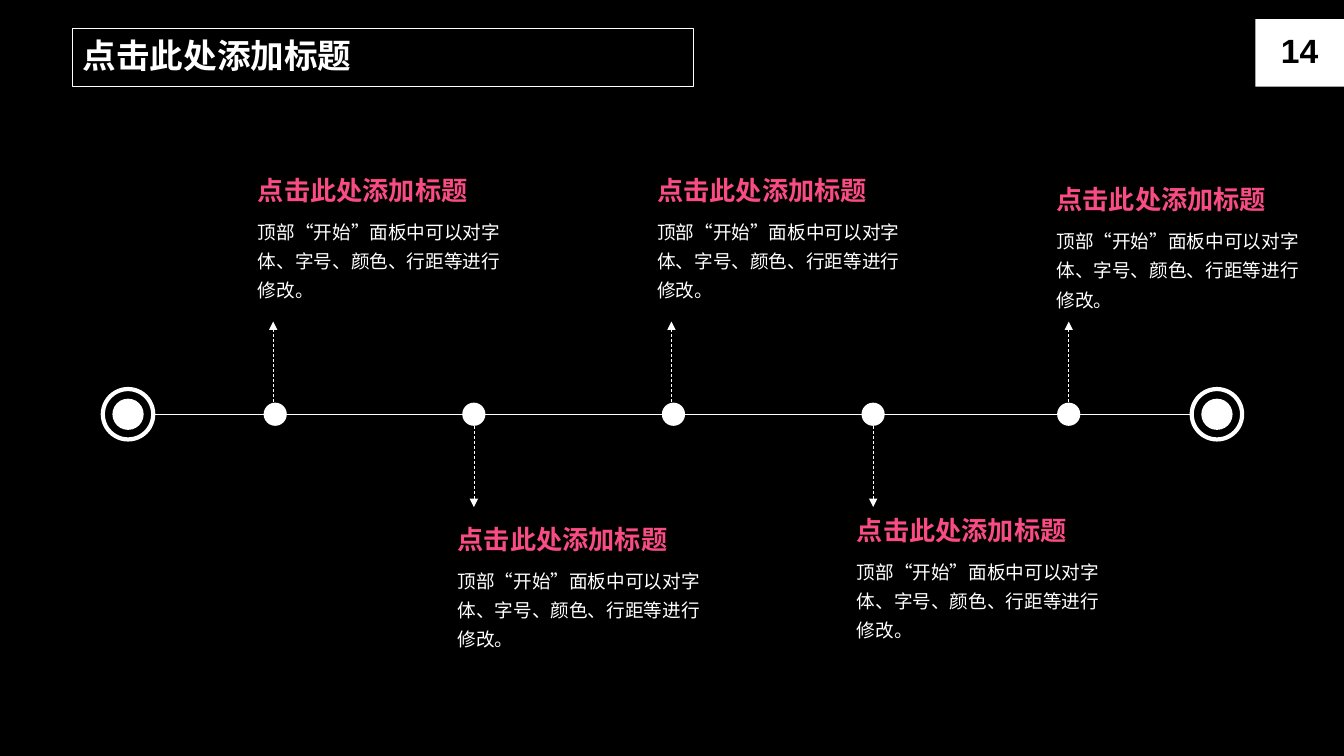
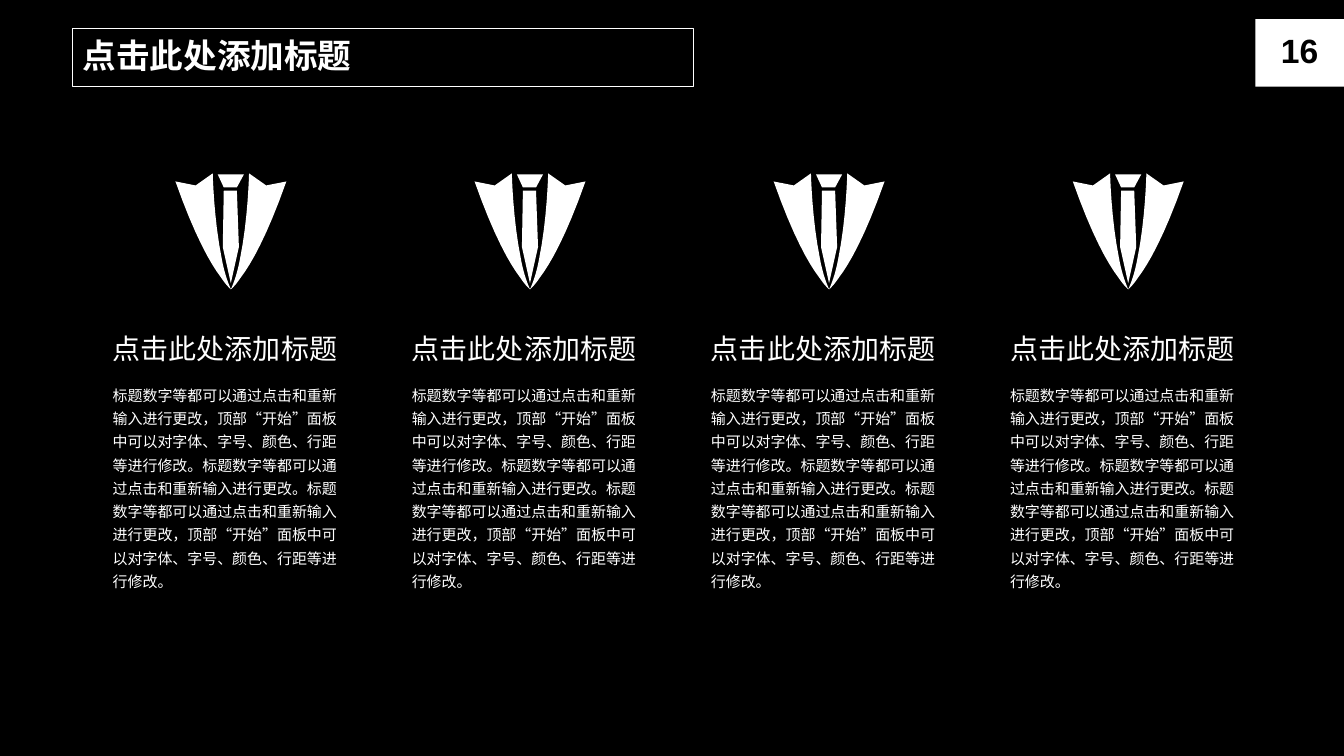
from lxml import etree
from pptx import Presentation
from pptx.dml.color import RGBColor
from pptx.enum import dml, lang, shapes, text
from pptx.oxml import ns
from pptx.util import Inches, Pt

WHITE, BLACK, PINK = "FFFFFF", "000000", "F94C84"
FONT = "Arial"
HEADING = "点击此处添加标题"
MILESTONE_BODY = "顶部“开始”面板中可以对字体、字号、颜色、行距等进行修改。"
FIRST_SENTENCE = "标题数字等都可以通过点击和重新输入进行更改"
LONG_SENTENCE = FIRST_SENTENCE + "，" + MILESTONE_BODY
COLUMN_BODY = LONG_SENTENCE + FIRST_SENTENCE + "。" + LONG_SENTENCE

AXIS_Y = 4.11
AXIS_ENDS = (1.27, 12.07)
MILESTONES = [
    (2.73, 2.71, 1.68),
    (4.70, 4.70, 5.14),
    (6.68, 6.66, 1.68),
    (8.66, 8.66, 5.05),
    (10.60, 10.60, 1.77),
]
MILESTONE_LEFT, MILESTONE_PITCH = 2.46, 1.98

COLUMN_COUNT, COLUMN_WIDTH = 4, 2.54
FIRST_COLUMN, LAST_COLUMN = 1.02, 9.92

KNOT = [(-0.13, 0.01), (0.13, 0.01), (0.06, 0.14), (-0.07, 0.14)]
TIE = [(-0.08, 0.73), (0, 1.09), (0.08, 0.73), (0.06, 0.17), (-0.07, 0.17)]
LAPEL_CORNERS = [(-0.18, 0), (-0.35, 0.12), (-0.55, 0.08)]
LAPEL_CURVES = [
    [(-0.36, 0.62), (-0.2, 0.9), (-0.1, 1.03)],
    [(-0.04, 1.12), (0, 1.15), (0, 1.15)],
    [(-0.04, 1.06), (-0.07, 0.96), (-0.09, 0.85)],
    [(-0.17, 0.46), (-0.18, 0), (-0.18, 0)],
]


def color(value):
    """Turn a hex string into a colour."""
    return RGBColor.from_string(value)


def paint(shape, fill=None, line=None, width=1):
    """Set the fill and outline of a shape and drop its shadow."""
    shape.shadow.inherit = False
    if fill:
        shape.fill.solid()
        shape.fill.fore_color.rgb = color(fill)
    else:
        shape.fill.background()
    if line:
        shape.line.color.rgb = color(line)
        shape.line.width = Pt(width)
    else:
        shape.line.fill.background()


def write(shape, words, size, ink=WHITE, bold=False, spacing=1.0, before=0,
          align=text.PP_ALIGN.LEFT):
    """Fill a shape with one formatted paragraph."""
    shape.text_frame.text = words
    paragraph = shape.text_frame.paragraphs[0]
    paragraph.alignment = align
    paragraph.line_spacing = spacing
    paragraph.space_before = Pt(before)
    font = paragraph.font
    font.name, font.size, font.bold = FONT, Pt(size), bold
    font.color.rgb = color(ink)
    font.language_id = lang.MSO_LANGUAGE_ID.SIMPLIFIED_CHINESE


def add_text(container, box, words, size, wrap=True, **style):
    """Add a text box that grows with its text."""
    shape = container.shapes.add_textbox(*map(Inches, box))
    shape.text_frame.word_wrap = wrap
    shape.text_frame.auto_size = text.MSO_AUTO_SIZE.SHAPE_TO_FIT_TEXT
    write(shape, words, size, **style)


def add_circle(slide, x, y, diameter, **style):
    """Add a circle around a centre."""
    box = (x - diameter / 2, y - diameter / 2, diameter, diameter)
    circle = slide.shapes.add_shape(shapes.MSO_SHAPE.OVAL, *map(Inches, box))
    paint(circle, **style)


def add_line(slide, start, end, arrow=False):
    """Add a thin white line, dashed with an arrowhead if asked."""
    connector = slide.shapes.add_connector(
        shapes.MSO_CONNECTOR.STRAIGHT, *map(Inches, (*start, *end)))
    connector.line.color.rgb = color(WHITE)
    connector.line.width = Pt(0.5)
    if arrow:
        connector.line.dash_style = dml.MSO_LINE.DASH
        outline = connector.line._get_or_add_ln()
        etree.SubElement(outline, ns.qn("a:tailEnd"), type="triangle")
    etree.SubElement(connector._element.spPr, ns.qn("a:effectLst"))


def add_slide(presentation, number):
    """Add a slide with the framed title and the page number block."""
    slide = presentation.slides.add_slide(presentation.slide_layouts[5])
    title = slide.shapes.title
    title.left, title.top, title.width, title.height = map(
        Inches, (0.72, 0.28, 6.16, 0.58))
    paint(title, line=WHITE)
    block = slide.shapes.add_shape(
        shapes.MSO_SHAPE.RECTANGLE, *map(Inches, (12.45, 0.19, 0.88, 0.67)))
    paint(block, fill=WHITE)
    for shape in (title, block):
        shape.text_frame.auto_size = text.MSO_AUTO_SIZE.NONE
        shape.text_frame.vertical_anchor = text.MSO_ANCHOR.MIDDLE
    heading_style = dict(size=24, bold=True, spacing=0.9, before=10)
    write(title, HEADING, **heading_style)
    write(block, str(number), ink=BLACK, align=text.PP_ALIGN.CENTER,
          **heading_style)
    return slide


def add_milestone(slide, left, top, dot_x, arrow_x):
    """Add a dot, its arrow and the text the arrow points to."""
    side = -1 if top < AXIS_Y else 1
    add_circle(slide, dot_x, AXIS_Y, 0.23, fill=WHITE)
    add_line(slide, (arrow_x, AXIS_Y + side * 0.12),
             (arrow_x, AXIS_Y + side * 0.92), arrow=True)
    add_text(slide, (left, top + 0.4, 2.63, 0.98), MILESTONE_BODY, 13.3,
             spacing=1.3)
    add_text(slide, (left, top, 2.29, 0.42), HEADING, 18.7, wrap=False,
             ink=PINK, bold=True)


def build_timeline(presentation):
    """Build the timeline slide."""
    slide = add_slide(presentation, 14)
    start, end = AXIS_ENDS
    add_line(slide, (start, AXIS_Y), (end, AXIS_Y))
    for x in AXIS_ENDS:
        add_circle(slide, x, AXIS_Y, 0.5, fill=BLACK, line=WHITE, width=3)
        add_circle(slide, x, AXIS_Y, 0.31, fill=WHITE)
    for index, (dot_x, arrow_x, top) in enumerate(MILESTONES):
        left = MILESTONE_LEFT + index * MILESTONE_PITCH
        add_milestone(slide, left, top, dot_x, arrow_x)


def curve_points(start, first, second, end, steps=8):
    """Sample a cubic curve after its start point."""
    points = []
    for step in range(1, steps + 1):
        t = step / steps
        weights = ((1 - t) ** 3, 3 * t * (1 - t) ** 2,
                   3 * t ** 2 * (1 - t), t ** 3)
        corners = (start, first, second, end)
        points.append(tuple(
            sum(weight * corner[axis]
                for weight, corner in zip(weights, corners))
            for axis in (0, 1)))
    return points


def lapel_points():
    """Trace the outline of the left lapel."""
    points = list(LAPEL_CORNERS)
    for curve in LAPEL_CURVES:
        points += curve_points(points[-1], *curve)
    return points


def add_suit(slide, center, top):
    """Add the suit and tie icon below a top centre point."""
    group = slide.shapes.add_group_shape()
    lapel = lapel_points()
    mirrored = [(-x, y) for x, y in lapel]
    for outline in (KNOT, TIE, lapel, mirrored):
        points = [(Inches(center + x), Inches(top + y)) for x, y in outline]
        builder = group.shapes.build_freeform(*points[0])
        builder.add_line_segments(points[1:], close=True)
        paint(builder.convert_to_shape(), fill=WHITE)


def add_column(slide, left):
    """Add an icon with a heading and text below it."""
    add_suit(slide, left + COLUMN_WIDTH / 2, 1.72)
    group = slide.shapes.add_group_shape()
    add_text(group, (left, 3.24, COLUMN_WIDTH, 0.44), HEADING, 20)
    add_text(group, (left, 3.73, COLUMN_WIDTH, 2.2), COLUMN_BODY, 10.7,
             spacing=1.3)


def build_columns(presentation):
    """Build the slide of four icon columns."""
    slide = add_slide(presentation, 16)
    pitch = (LAST_COLUMN - FIRST_COLUMN) / (COLUMN_COUNT - 1)
    for index in range(COLUMN_COUNT):
        add_column(slide, FIRST_COLUMN + index * pitch)


def main():
    """Build and save the presentation."""
    presentation = Presentation()
    presentation.slide_width = Inches(13.33)
    presentation.slide_height = Inches(7.5)
    background = presentation.slide_master.background.fill
    background.solid()
    background.fore_color.rgb = color(BLACK)
    build_timeline(presentation)
    build_columns(presentation)
    presentation.save("out.pptx")


if __name__ == "__main__":
    main()
